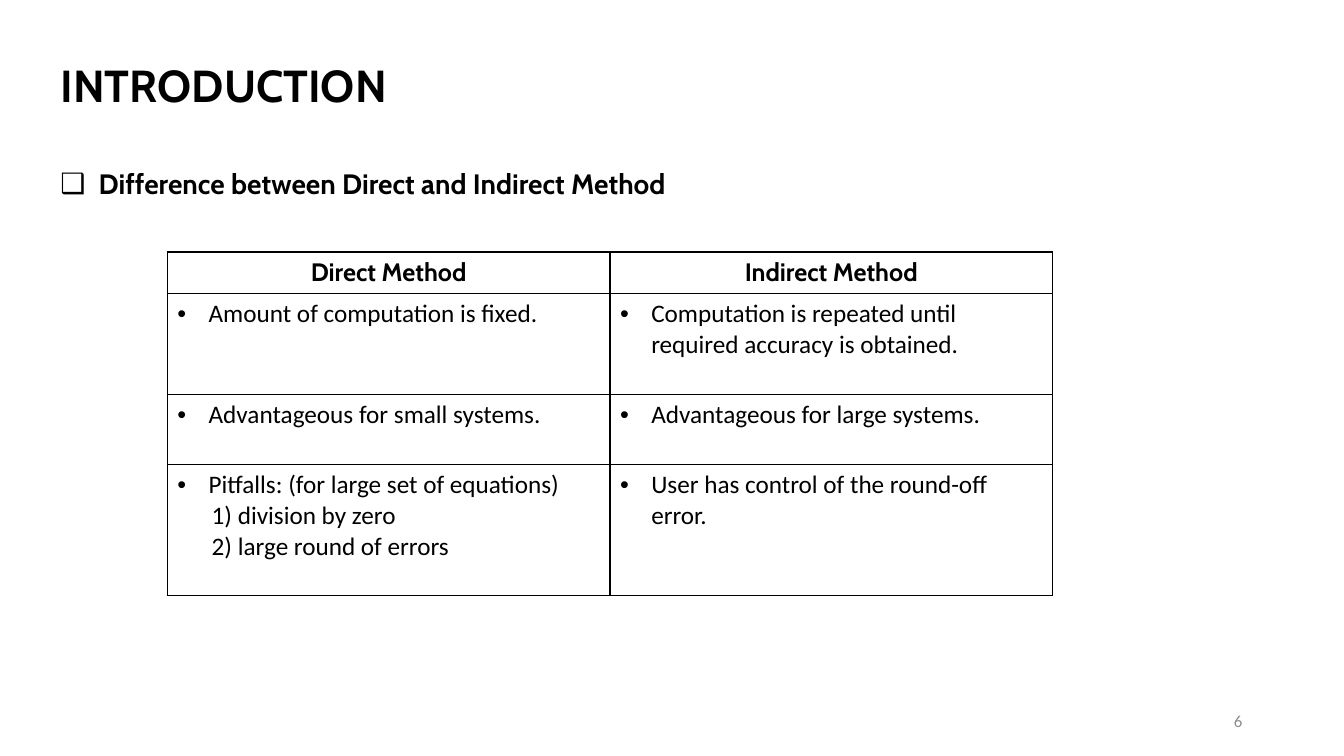
from dataclasses import dataclass

from lxml import etree
from pptx import Presentation
from pptx import util as u
from pptx.dml.color import RGBColor
from pptx.enum import text
from pptx.oxml import ns


@dataclass(frozen=True)
class Theme:
    heading_font: str = "Cabin"
    body_font: str = "Calibri"
    ink: str = "000000"
    muted: str = "8C8C8C"
    title_size: int = 32
    subtitle_size: int = 20
    table_size: int = 18
    number_size: int = 12
    border_width: int = 1


class SlideBuilder:
    def __init__(self, page, theme):
        self.page = page
        self.theme = theme

    def format_runs(self, para, size, heading=False, color=None):
        for span in para.runs:
            font = span.font
            font.name = self.theme.heading_font if heading else self.theme.body_font
            font.size = u.Pt(size)
            font.bold = heading
            font.color.rgb = RGBColor.from_string(color or self.theme.ink)

    def indent(self, para, margin, bullet=None):
        properties = para._p.get_or_add_pPr()
        properties.set("marL", str(u.Inches(margin)))
        if bullet:
            properties.set("indent", str(u.Inches(-margin)))
            etree.SubElement(properties, ns.qn("a:buFont")).set("typeface", "Arial")
            etree.SubElement(properties, ns.qn("a:buChar")).set("char", bullet)

    def title(self, words, left, top, width, height):
        box = self.page.shapes.title
        box.left, box.top, box.width, box.height = map(u.Inches, (left, top, width, height))
        frame = box.text_frame
        frame.text = words
        frame.vertical_anchor = text.MSO_ANCHOR.TOP
        frame.auto_size = text.MSO_AUTO_SIZE.SHAPE_TO_FIT_TEXT
        para = frame.paragraphs[0]
        para.alignment = text.PP_ALIGN.LEFT
        self.format_runs(para, self.theme.title_size, heading=True)

    def text_box(self, words, left, top, width, height):
        box = self.page.shapes.add_textbox(*map(u.Inches, (left, top, width, height)))
        frame = box.text_frame
        frame.word_wrap = True
        frame.text = words
        return frame

    def subtitle(self, words, *place):
        para = self.text_box(words, *place).paragraphs[0]
        self.indent(para, 0.38, "❑")
        para.line_spacing = 1.5
        self.format_runs(para, self.theme.subtitle_size, heading=True)

    def page_number(self, number, *place):
        frame = self.text_box(str(number), *place)
        frame.vertical_anchor = text.MSO_ANCHOR.MIDDLE
        para = frame.paragraphs[0]
        para.alignment = text.PP_ALIGN.RIGHT
        self.format_runs(para, self.theme.number_size, color=self.theme.muted)

    def border(self, cell):
        properties = cell._tc.get_or_add_tcPr()
        for position, side in enumerate(("lnL", "lnR", "lnT", "lnB")):
            line = etree.Element(ns.qn(f"a:{side}"), w=str(u.Pt(self.theme.border_width)))
            fill = etree.SubElement(line, ns.qn("a:solidFill"))
            etree.SubElement(fill, ns.qn("a:srgbClr")).set("val", self.theme.ink)
            properties.insert(position, line)

    def table(self, rows, row_heights, left, top, width):
        frame = self.page.shapes.add_table(
            len(rows), len(rows[0]),
            *map(u.Inches, (left, top, width, sum(row_heights))))
        table = frame.table
        table.horz_banding = False
        table.first_row = False
        for row_index, (entries, height) in enumerate(zip(rows, row_heights)):
            table.rows[row_index].height = u.Inches(height)
            for column_index, entry in enumerate(entries):
                cell = table.cell(row_index, column_index)
                cell.text = entry
                cell.fill.background()
                self.border(cell)
                self.fill_cell(cell, heading=row_index == 0)

    def fill_cell(self, cell, heading):
        for line_index, para in enumerate(cell.text_frame.paragraphs):
            if heading:
                para.alignment = text.PP_ALIGN.CENTER
            elif line_index == 0:
                self.indent(para, 0.31, "•")
            else:
                self.indent(para, 0.34)
            self.format_runs(para, self.theme.table_size, heading)


def main():
    deck = Presentation()
    deck.slide_width, deck.slide_height = u.Inches(13.33), u.Inches(7.5)
    page = deck.slides.add_slide(deck.slide_layouts.get_by_name("Title Only"))
    builder = SlideBuilder(page, Theme())
    builder.subtitle("Difference between Direct and Indirect Method", 0.5, 1.44, 11.79, 4.57)
    builder.title("INTRODUCTION", 0.5, 0.52, 5.37, 0.64)
    builder.page_number(6, 9.42, 6.95, 3, 0.4)
    comparison = [
        ("Direct Method", "Indirect Method"),
        ("Amount of computation is fixed.",
         "Computation is repeated until required accuracy is obtained."),
        ("Advantageous for small systems.", "Advantageous for large systems."),
        ("Pitfalls: (for large set of equations)\n1) division by zero\n2) large round of errors",
         "User has control of the round-off error."),
    ]
    builder.table(comparison, (0.41, 1, 0.7, 1.3), 1.66, 2.5, 8.78)
    deck.save("out.pptx")


if __name__ == "__main__":
    main()
